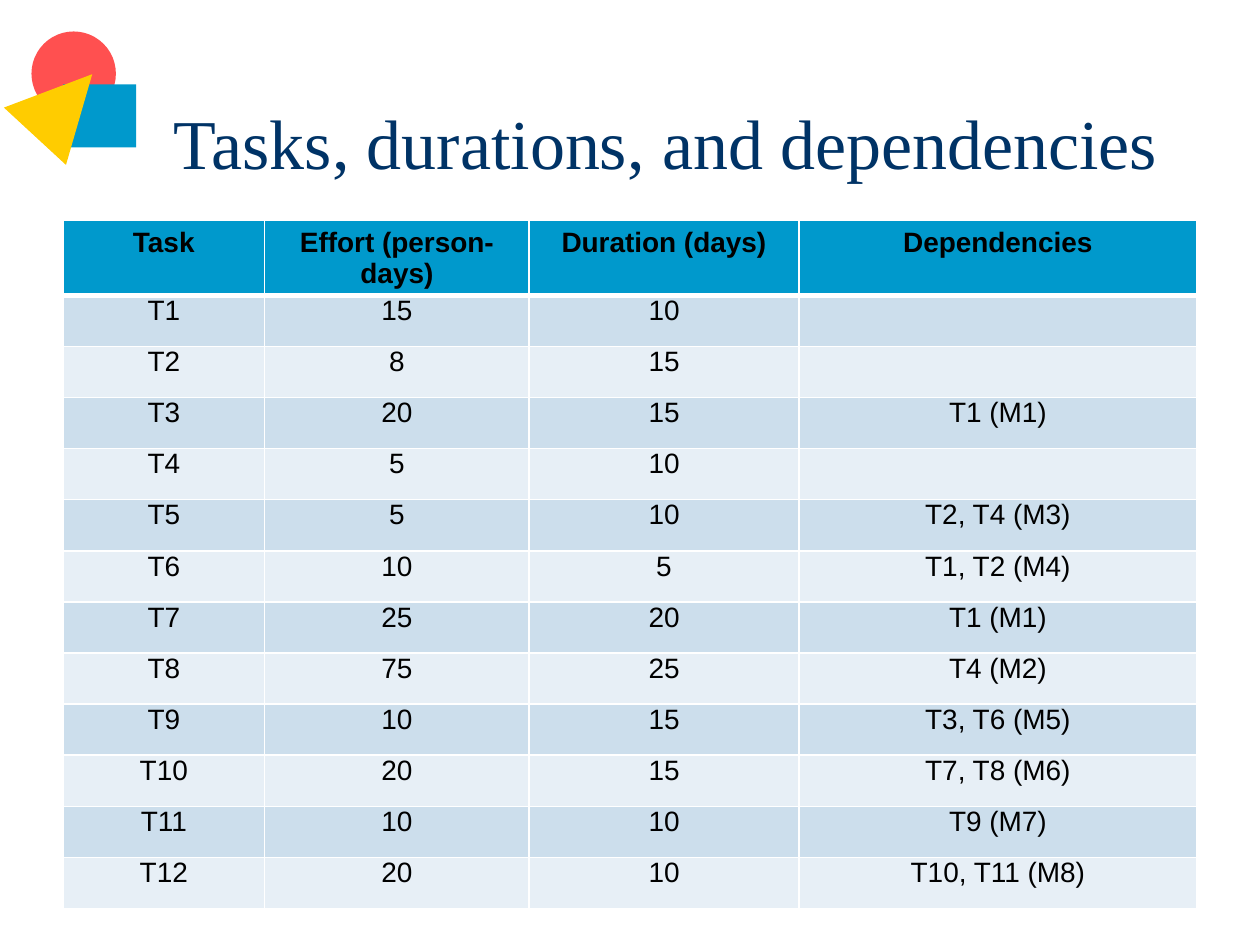
from pptx import Presentation
from pptx.dml.color import RGBColor
from pptx.enum.shapes import MSO_SHAPE
from pptx.enum.text import MSO_ANCHOR, MSO_AUTO_SIZE, PP_ALIGN
from pptx.oxml.ns import qn
from pptx.util import Inches, Pt
from lxml.etree import SubElement

WHITE = RGBColor(0xFF, 0xFF, 0xFF)
BLACK = RGBColor(0x00, 0x00, 0x00)
NAVY = RGBColor(0x00, 0x33, 0x66)
BLUE = RGBColor(0x00, 0x99, 0xCC)
RED = RGBColor(0xFF, 0x50, 0x50)
YELLOW = RGBColor(0xFF, 0xCC, 0x00)
BANDS = (RGBColor(0xCC, 0xDE, 0xEC), RGBColor(0xE7, 0xEF, 0xF6))

HEADER = ("Task", "Effort (person-days)", "Duration (days)", "Dependencies")
TASKS = (
    ("T1", 15, 10, ""),
    ("T2", 8, 15, ""),
    ("T3", 20, 15, "T1 (M1)"),
    ("T4", 5, 10, ""),
    ("T5", 5, 10, "T2, T4 (M3)"),
    ("T6", 10, 5, "T1, T2 (M4)"),
    ("T7", 25, 20, "T1 (M1)"),
    ("T8", 75, 25, "T4 (M2)"),
    ("T9", 10, 15, "T3, T6 (M5)"),
    ("T10", 20, 15, "T7, T8 (M6)"),
    ("T11", 10, 10, "T9 (M7)"),
    ("T12", 20, 10, "T10, T11 (M8)"),
)
COLUMN_WIDTHS = (1.6, 2.1, 2.14, 3.16)
TABLE_HEIGHT = 5.46
HEADER_HEIGHT = 0.59


class SlideBuilder:
    title_font = "Times New Roman"
    table_font = "Arial"

    def __init__(self, slide):
        self.slide = slide

    def ornament(self, kind, left, top, width, height, color, rotation=0):
        shape = self.slide.shapes.add_shape(
            kind, Inches(left), Inches(top), Inches(width), Inches(height))
        shape.rotation = rotation
        shape.shadow.inherit = False
        shape.fill.solid()
        shape.fill.fore_color.rgb = color
        shape.line.fill.background()

    def title(self, text, left, top, width, height):
        shape = self.slide.shapes.title
        shape.left, shape.top = Inches(left), Inches(top)
        shape.width, shape.height = Inches(width), Inches(height)
        text_frame = shape.text_frame
        text_frame.text = text
        text_frame.auto_size = MSO_AUTO_SIZE.NONE
        text_frame.vertical_anchor = MSO_ANCHOR.MIDDLE
        paragraph = text_frame.paragraphs[0]
        paragraph.alignment = PP_ALIGN.LEFT
        self.format_font(paragraph.runs[0].font, self.title_font, 40, NAVY)

    def table(self, rows, left, top, widths, height, header_height):
        table = self.slide.shapes.add_table(
            len(rows), len(widths), Inches(left), Inches(top),
            Inches(sum(widths)), Inches(height)).table
        for column, width in zip(table.columns, widths):
            column.width = Inches(width)
        body_height = (height - header_height) / (len(rows) - 1)
        for index, values in enumerate(rows):
            is_header = index == 0
            table.rows[index].height = Inches(header_height if is_header else body_height)
            color = BLUE if is_header else BANDS[(index - 1) % 2]
            for column_index, value in enumerate(values):
                self.cell(table.cell(index, column_index), str(value), color, is_header)

    def cell(self, cell, text, color, is_header):
        cell.margin_left = cell.margin_right = Inches(0.06)
        cell.margin_top = Inches(0.05 if is_header else 0)
        cell.margin_bottom = Inches(0.05)
        self.borders(cell, bottom_width=3 if is_header else 1)
        cell.fill.solid()
        cell.fill.fore_color.rgb = color
        cell.text_frame.text = text
        paragraph = cell.text_frame.paragraphs[0]
        paragraph.alignment = PP_ALIGN.CENTER
        for run in paragraph.runs:
            self.format_font(run.font, self.table_font, 16, BLACK, is_header)

    def borders(self, cell, bottom_width):
        properties = cell._tc.get_or_add_tcPr()
        widths = {"a:lnL": 1, "a:lnR": 1, "a:lnT": 1, "a:lnB": bottom_width}
        for tag, width in widths.items():
            line = SubElement(properties, qn(tag), w=str(Pt(width)))
            fill = SubElement(line, qn("a:solidFill"))
            SubElement(fill, qn("a:srgbClr"), val=str(WHITE))

    def format_font(self, font, name, size, color, bold=False):
        font.name = name
        font.size = Pt(size)
        font.bold = bold
        font.color.rgb = color


def main():
    presentation = Presentation()
    presentation.slide_width = Inches(10)
    presentation.slide_height = Inches(7.5)
    title_only = presentation.slide_layouts[5]
    builder = SlideBuilder(presentation.slides.add_slide(title_only))

    builder.ornament(MSO_SHAPE.OVAL, 0.25, 0.25, 0.67, 0.67, RED)
    builder.ornament(MSO_SHAPE.RECTANGLE, 0.5, 0.67, 0.58, 0.5, BLUE)
    builder.ornament(MSO_SHAPE.ISOSCELES_TRIANGLE, 0.17, 0.5, 0.67, 0.67, YELLOW, 42.7)
    builder.title("Tasks, durations, and dependencies", 1.28, 0.5, 8.5, 1.25)
    builder.table((HEADER,) + TASKS, 0.5, 1.75, COLUMN_WIDTHS, TABLE_HEIGHT, HEADER_HEIGHT)

    presentation.save("out.pptx")


if __name__ == "__main__":
    main()
